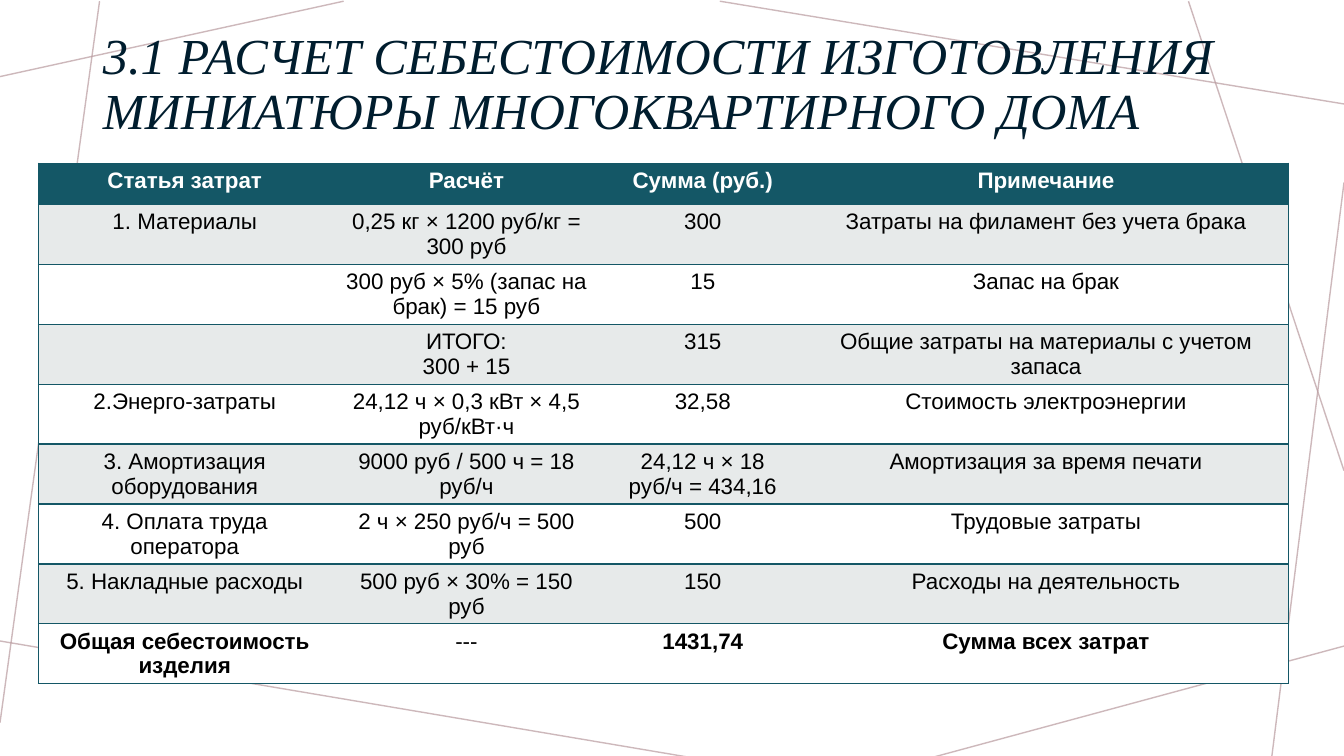
import pptx
import pptx.util
import pptx.dml.color
import pptx.enum.shapes
import pptx.enum.text
import pptx.oxml.ns
from lxml import etree

Cm = pptx.util.Cm
Pt = pptx.util.Pt
RGB = pptx.dml.color.RGBColor
ALIGN = pptx.enum.text.PP_ALIGN
ANCHOR = pptx.enum.text.MSO_ANCHOR
qn = pptx.oxml.ns.qn

TEAL = RGB(0x14, 0x57, 0x66)
GREY = RGB(0xE7, 0xEA, 0xEA)
WHITE = RGB(0xFF, 0xFF, 0xFF)
BLACK = RGB(0, 0, 0)
NAVY = RGB(0x00, 0x1D, 0x2E)
ROSE = RGB(0xB9, 0x9B, 0x9F)


def write(frame, text, size=16, font="Arial", color=BLACK, bold=False,
          italic=False, align=ALIGN.CENTER, space=1.0):
    frame.text = text
    for para in frame.paragraphs:
        para.alignment = align
        para.line_spacing = space
        para.font.size = Pt(size)
        for run in para.runs:
            run.font.name = font
            run.font.size = Pt(size)
            run.font.bold = bold
            run.font.italic = italic
            run.font.color.rgb = color


def border(cell, side, color):
    line = etree.SubElement(cell._tc.get_or_add_tcPr(), qn("a:" + side))
    if color is None:
        line.set("w", "0")
        etree.SubElement(line, qn("a:noFill"))
    else:
        line.set("w", str(Pt(1)))
        fill = etree.SubElement(line, qn("a:solidFill"))
        etree.SubElement(fill, qn("a:srgbClr")).set("val", str(color))


deck = pptx.Presentation()
deck.slide_width = Cm(33.87)
deck.slide_height = Cm(19.05)
slide = deck.slides.add_slide(deck.slide_layouts[5])
slide.background.fill.solid()
slide.background.fill.fore_color.rgb = WHITE

rays = [
    (8.66, 0.03, 0, 1.93),
    (2.51, 0.03, 0, 18.21),
    (17.35, 19.08, -0.13, 16.13),
    (33.87, 16.28, 23.52, 19.08),
    (33.87, 4.6, 32.05, 19.08),
    (33.87, 11.86, 29.95, 0.03),
    (33.87, 2.62, 18.14, 0.03),
]
for ray in rays:
    link = slide.shapes.add_connector(
        pptx.enum.shapes.MSO_CONNECTOR.STRAIGHT, *[Cm(n) for n in ray])
    link.line.color.rgb = ROSE
    link.line.width = Pt(1)
    tint = link.line._ln.find(".//" + qn("a:srgbClr"))
    etree.SubElement(tint, qn("a:alpha")).set("val", "70000")
    etree.SubElement(link._element.spPr, qn("a:effectLst"))

title = slide.shapes.title
title.element.getparent().append(title.element)
title.left, title.top = Cm(2.34), Cm(0.66)
title.width, title.height = Cm(29.21), Cm(3)
write(title.text_frame,
      "3.1 РАСЧЕТ СЕБЕСТОИМОСТИ ИЗГОТОВЛЕНИЯ МИНИАТЮРЫ МНОГОКВАРТИРНОГО ДОМА",
      size=36, font="Times New Roman", color=NAVY, italic=True,
      align=ALIGN.LEFT, space=0.9)
title.text_frame.word_wrap = True
title.text_frame.auto_size = pptx.enum.text.MSO_AUTO_SIZE.NONE
title.text_frame.vertical_anchor = ANCHOR.BOTTOM

costs = [
    ("Статья затрат", "Расчёт", "Сумма (руб.)", "Примечание"),
    ("1. Материалы", "0,25 кг × 1200 руб/кг = 300 руб", "300",
     "Затраты на филамент без учета брака"),
    ("", "300 руб × 5% (запас на брак) = 15 руб", "15", "Запас на брак"),
    ("", "ИТОГО:\n300 + 15", "315",
     "Общие затраты на материалы с учетом запаса"),
    ("2.Энерго-затраты", "24,12 ч × 0,3 кВт × 4,5 руб/кВт·ч", "32,58",
     "Стоимость электроэнергии"),
    ("3. Амортизация оборудования", "9000 руб / 500 ч = 18 руб/ч",
     "24,12 ч × 18 руб/ч = 434,16", "Амортизация за время печати"),
    ("4. Оплата труда оператора", "2 ч × 250 руб/ч = 500 руб", "500",
     "Трудовые затраты"),
    ("5. Накладные расходы", "500 руб × 30% = 150 руб", "150",
     "Расходы на деятельность"),
    ("Общая себестоимость изделия", "---", "1431,74", "Сумма всех затрат"),
]
wide = [7.37, 6.83, 5.08, 12.22]
last = len(costs) - 1
table = slide.shapes.add_table(
    len(costs), len(wide), Cm(0.97), Cm(4.11), Cm(sum(wide)),
    Cm(1.04 + 1.51 * last)).table
for col, width in zip(table.columns, wide):
    col.width = Cm(width)

for r, texts in enumerate(costs):
    table.rows[r].height = Cm(1.51 if r else 1.04)
    for c, text in enumerate(texts):
        cell = table.cell(r, c)
        border(cell, "lnL", TEAL if c == 0 else None)
        border(cell, "lnR", TEAL if c == len(wide) - 1 else None)
        border(cell, "lnT", TEAL)
        border(cell, "lnB", TEAL)
        cell.fill.solid()
        cell.fill.fore_color.rgb = (GREY if r % 2 else WHITE) if r else TEAL
        write(cell.text_frame, text, color=BLACK if r else WHITE,
              bold=r in (0, last) and text != "---")

deck.save("out.pptx")
